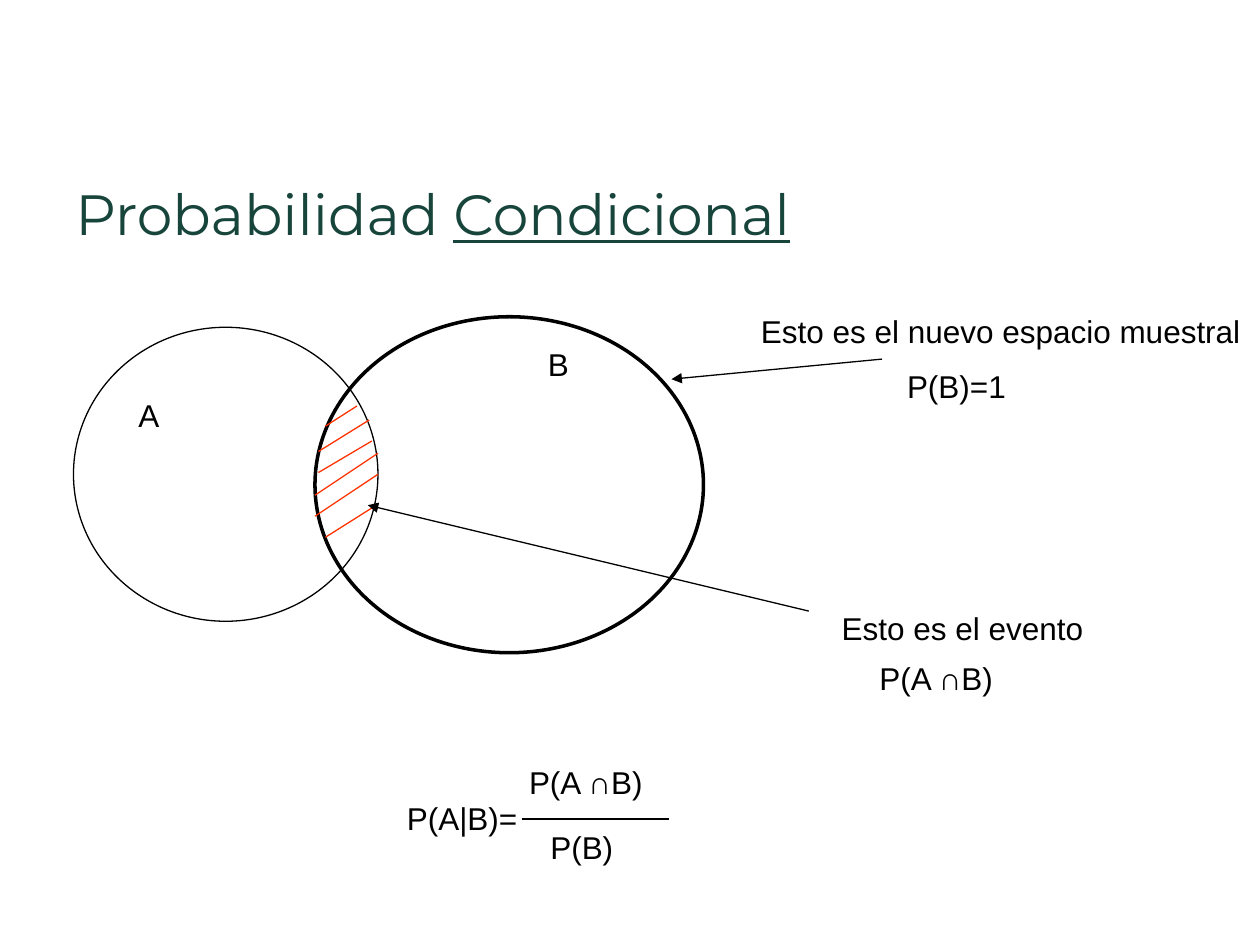
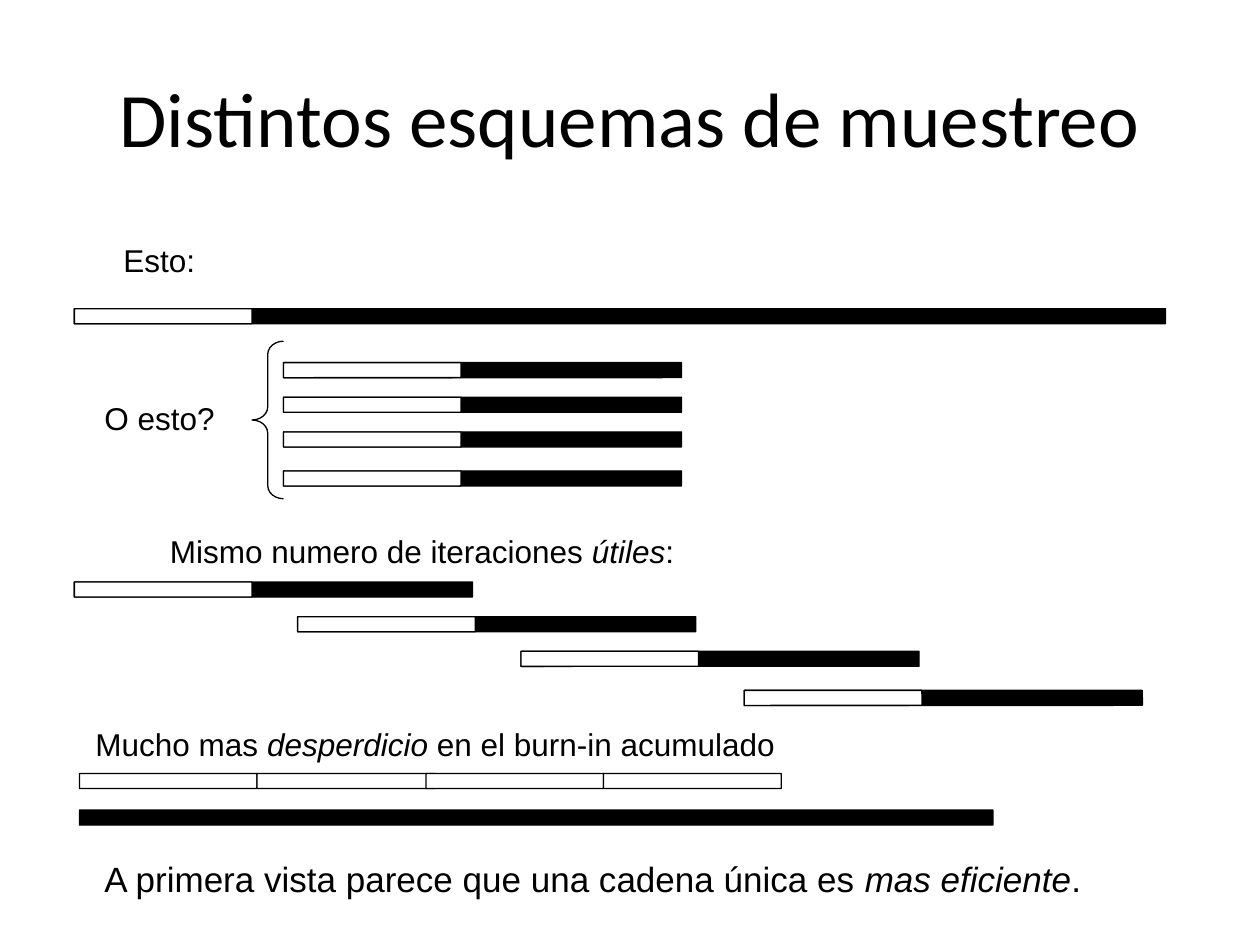
from lxml.etree import SubElement
from pptx import Presentation
from pptx.dml.color import RGBColor
from pptx.enum.shapes import MSO_CONNECTOR as Link, MSO_SHAPE as Kind
from pptx.enum.text import MSO_ANCHOR as Anchor, MSO_AUTO_SIZE as Fit, PP_ALIGN as Align
from pptx.oxml.ns import qn
from pptx.util import Pt

BLACK, WHITE, GREEN, RED = "000000", "FFFFFF", "18453B", "FF3300"
THIN, THICK = 0.75, 2
BURN, CHAIN, BAR = 101.5, 227.5, 8.6
STEPS = (0, 19.8, 39.6, 61.9)


def paint(target, color):
    target.rgb = RGBColor.from_string(color)


def write(slide, box, text, size=18, font="Arial", color=BLACK, mark="italic",
          wrap=False, grow=False, align=Align.LEFT, anchor=Anchor.TOP):
    """Add a text box; words between asterisks get the font style named by mark."""
    frame = slide.shapes.add_textbox(*map(Pt, box)).text_frame
    frame.word_wrap = wrap
    frame.auto_size = Fit.SHAPE_TO_FIT_TEXT if grow else Fit.NONE
    frame.vertical_anchor = anchor
    para = frame.paragraphs[0]
    para.alignment = align
    para.font.size, para.font.name = Pt(size), font
    paint(para.font.color, color)
    for i, part in enumerate(text.split("*")):
        run = para.add_run()
        run.text = part
        if i % 2:
            setattr(run.font, mark, True)


def label(slide, x, y, width, text, wrap=False):
    write(slide, (x, y, width, 29), text, wrap=wrap, grow=True)


def draw(slide, kind, box, fill=None, width=THIN):
    shape = slide.shapes.add_shape(kind, *map(Pt, box))
    shape.shadow.inherit = False
    if fill:
        shape.fill.solid()
        paint(shape.fill.fore_color, fill)
    else:
        shape.fill.background()
    paint(shape.line.color, BLACK)
    shape.line.width = Pt(width)
    return shape


def rule(slide, start, end, color=BLACK, arrow=False):
    line = slide.shapes.add_connector(Link.STRAIGHT, *map(Pt, (*start, *end)))
    paint(line.line.color, color)
    line.line.width = Pt(THIN)
    if arrow:
        SubElement(line.line._get_or_add_ln(), qn("a:tailEnd"), type="triangle")
    SubElement(line._element.spPr, qn("a:effectLst"))


def venn(slide, x, y):
    draw(slide, Kind.OVAL, (x, y + 6, 174, 168))
    draw(slide, Kind.OVAL, (x + 138, y, 222, 192), width=THICK)
    label(slide, x + 30, y + 42, 26.6, "A", wrap=True)
    label(slide, x + 264, y + 12.7, 26.6, "B", wrap=True)
    hatch = [
        (162, 51, 144, 62.5), (169, 59, 140, 77), (170.5, 71, 140, 89),
        (174, 78, 138, 102), (174, 90, 138, 114), (172.5, 108, 144, 126),
    ]
    for x1, y1, x2, y2 in hatch:
        rule(slide, (x + x1, y + y1), (x + x2, y + y2), RED)


def ratio(slide, x, y):
    label(slide, x, y + 20.2, 77.8, "P(A|B)=")
    rule(slide, (x + 72.7, y + 35.3), (x + 157, y + 35.3))
    label(slide, x + 69.8, y, 80.6, "P(A ∩B)")
    label(slide, x + 82, y + 36.7, 50.4, "P(B)")


def note(slide, x, y, head, formula, start, end):
    """Place a heading and a formula, each (dx, dy, width, text), with an arrow."""
    for dx, dy, width, text in (head, formula):
        label(slide, x + dx, y + dy, width, text)
    rule(slide, (x + start[0], y + start[1]), (x + end[0], y + end[1]), arrow=True)


def bar(slide, x, y, width, fill):
    shape = draw(slide, Kind.ROUNDED_RECTANGLE, (x, y, width, BAR), fill)
    shape.adjustments[0] = 0.014


def chain(slide, x, y, width=CHAIN):
    """Draw a black chain that starts with its white burn-in."""
    bar(slide, x, y, width, BLACK)
    bar(slide, x, y, BURN, WHITE)


def chains(slide, x, y, shift=0):
    for i, step in enumerate(STEPS):
        chain(slide, x + i * shift, y + step)


def totals(slide, x, y):
    for dx in (0, BURN, 198, 198 + BURN):
        bar(slide, x + dx, y, BURN, WHITE)
    bar(slide, x, y + 20.9, 522, BLACK)


def events(slide):
    write(slide, (36, 98.6, 648, 38.2), "Probabilidad *Condicional*", 32.4,
          "Montserrat", GREEN, mark="underline", wrap=True)
    venn(slide, 42, 181)
    ratio(slide, 225.4, 432.7)
    note(slide, 427.7, 175, (0, 0, 291, "Esto es el nuevo espacio muestral"),
         (83.5, 31, 71.3, "P(B)=1"), (76.3, 30.2), (-44, 41.7))
    note(slide, 473.8, 344.2, (0, 0, 154, "Esto es el evento"),
         (21.6, 28.8, 80.6, "P(A ∩B)"), (-11.6, 5), (-263.6, -55.5))


def schemes(slide):
    write(slide, (36, 21.6, 648, 90), "Distintos esquemas de muestreo", 44,
          "Calibri", wrap=True, align=Align.CENTER, anchor=Anchor.MIDDLE)
    chain(slide, 42.5, 176.4, 623.5)
    chains(slide, 162, 207.2)
    chains(slide, 42.5, 332.6, shift=127.6)
    totals(slide, 45.4, 442)
    brace = draw(slide, Kind.LEFT_BRACE, (144, 195, 18, 90))
    brace.adjustments[0] = 0.417
    texts = [
        (63.4, 134, 53.3, "Esto:"),
        (52.6, 224.6, 77, "O esto?"),
        (90, 300.2, 300.2, "Mismo numero de iteraciones *útiles*:"),
        (47.5, 411, 305.3, "Mucho mas *desperdicio *en el burn-in acumulado"),
    ]
    for x, y, width, text in texts:
        write(slide, (x, y, width, 29), text)
    write(slide, (52.6, 486.7, 613.4, 31),
          "A primera vista parece que una cadena única es *mas eficiente*.", 20, wrap=True)


def main():
    deck = Presentation()
    deck.slide_width, deck.slide_height = Pt(720), Pt(540)
    for build in (events, schemes):
        build(deck.slides.add_slide(deck.slide_layouts[6]))
    deck.save("out.pptx")


if __name__ == "__main__":
    main()
